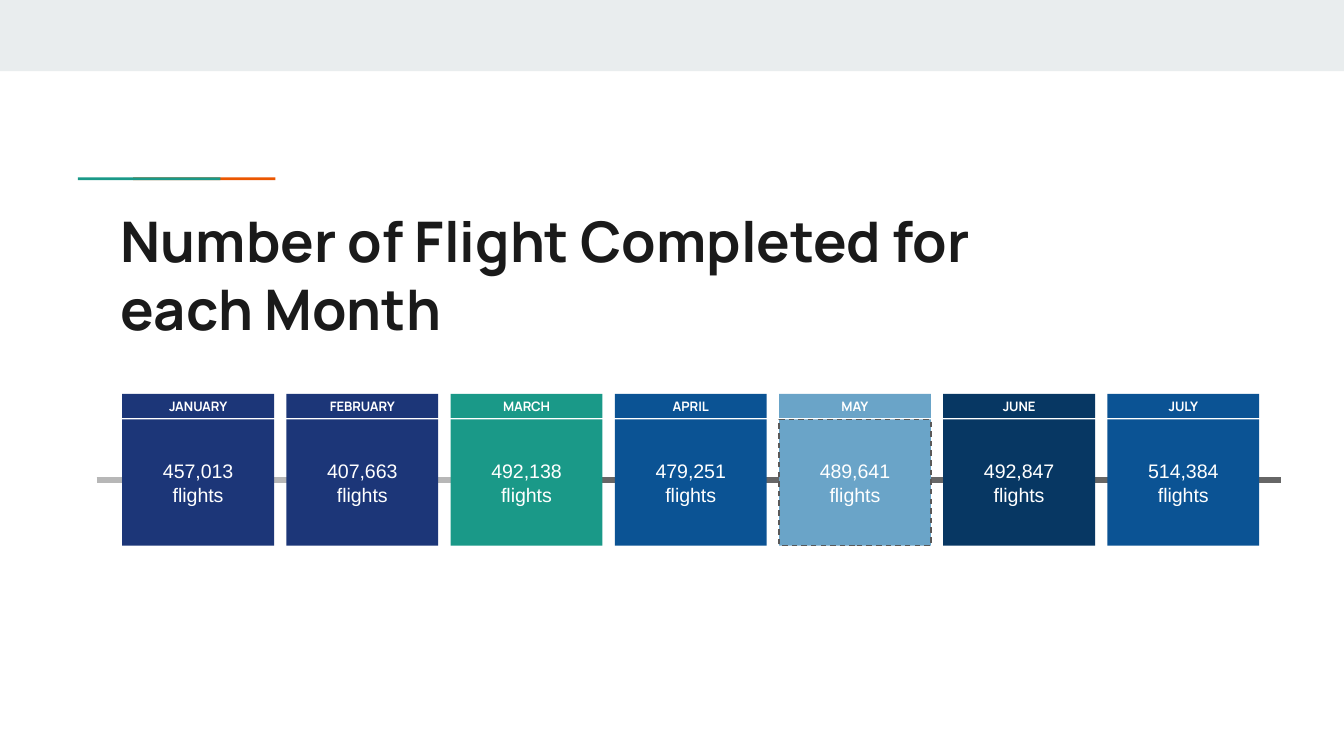
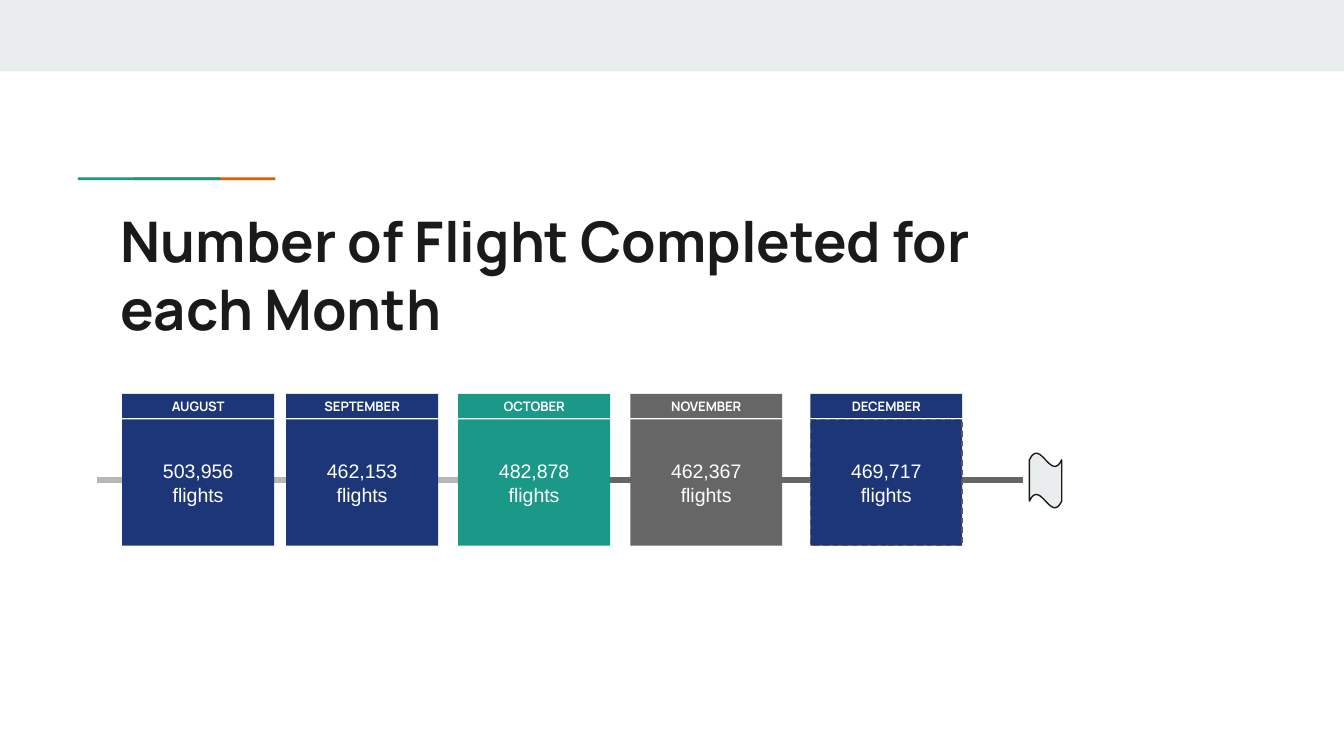
from pptx import Presentation
from pptx.dml.color import RGBColor
from pptx.enum.dml import MSO_LINE
from pptx.enum.shapes import MSO_CONNECTOR, MSO_SHAPE
from pptx.enum.text import MSO_ANCHOR, PP_ALIGN
from pptx.util import Inches, Pt
from lxml.etree import SubElement
from pptx.oxml.ns import qn

WIDE = 10
HIGH = WIDE * 9 / 16
WHITE, PALE, INK = "FFFFFF", "E9EDEE", "1A1A1A"
NAVY, TEAL, BLUE, SKY, DEEP = "1C3678", "1A9988", "0B5394", "6AA4C8", "073763"
GRAY, SILVER, EDGE, ORANGE = "666666", "B7B7B7", "595959", "EB5600"
TITLE = "Number of Flight Completed for each Month"
CARD_W, HEAD_H, BODY_H, BODY_DY = 1.13, 0.18, 0.94, 0.19
FIRST_X, CARD_Y, RAIL_Y = 0.91, 2.93, 3.57

EARLY = [
    ("JANUARY", "457,013", NAVY),
    ("FEBRUARY", "407,663", NAVY),
    ("MARCH", "492,138", TEAL),
    ("APRIL", "479,251", BLUE),
    ("MAY", "489,641", SKY),
    ("JUNE", "492,847", DEEP),
    ("JULY", "514,384", BLUE),
]
LATE = [
    ("AUGUST", "503,956", NAVY),
    ("SEPTEMBER", "462,153", NAVY),
    ("OCTOBER", "482,878", TEAL),
    ("NOVEMBER", "462,367", GRAY),
    ("DECEMBER", "469,717", NAVY),
]


def color(code):
    """Turn a hex string into a colour."""
    return RGBColor.from_string(code)


def block(slide, x, y, w, h, fill, kind=MSO_SHAPE.RECTANGLE):
    """Add a flat filled shape without outline."""
    shape = slide.shapes.add_shape(kind, Inches(x), Inches(y), Inches(w), Inches(h))
    shape.shadow.inherit = False
    shape.fill.solid()
    shape.fill.fore_color.rgb = color(fill)
    shape.line.fill.background()
    return shape


def edge(shape, code, dash=None):
    """Outline a shape with a thin line."""
    shape.line.color.rgb = color(code)
    shape.line.width = Pt(0.75)
    if dash:
        shape.line.dash_style = dash


def write(shape, text, size, face, code, bold=False, align=PP_ALIGN.CENTER,
          anchor=MSO_ANCHOR.MIDDLE):
    """Set one styled paragraph in a shape."""
    frame = shape.text_frame
    frame.word_wrap = True
    frame.vertical_anchor = anchor
    frame.margin_left = frame.margin_right = Inches(0.1)
    frame.margin_top = frame.margin_bottom = Inches(0.1)
    par = frame.paragraphs[0]
    par.text = text
    par.alignment = align
    font = par.font
    font.size, font.name, font.bold = Pt(size), face, bold
    font.color.rgb = color(code)


def rail(slide, start, end, code):
    """Draw a stretch of the timeline."""
    line = slide.shapes.add_connector(
        MSO_CONNECTOR.STRAIGHT, Inches(start), Inches(RAIL_Y), Inches(end), Inches(RAIL_Y))
    line.line.color.rgb = color(code)
    line.line.width = Pt(3)
    SubElement(line._element.spPr, qn("a:effectLst"))


def accent(slide, x, y):
    """Draw the overlapping two-colour rule above the title."""
    block(slide, x + 0.41, y, 1.06, 0.02, ORANGE)
    block(slide, x, y, 1.06, 0.02, TEAL)


def title(slide, x, y, w, h):
    """Add the slide title."""
    box = slide.shapes.add_textbox(Inches(x), Inches(y), Inches(w), Inches(h))
    write(box, TITLE, 30, "Manrope", INK, True, PP_ALIGN.LEFT, MSO_ANCHOR.TOP)


def card(slide, x, y, month, count, fill, dashed):
    """Add a month header with its flight count below."""
    body = block(slide, x, y + BODY_DY, CARD_W, BODY_H, fill)
    if dashed:
        edge(body, EDGE, MSO_LINE.DASH)
    write(body, f"{count} flights", 10.5, "Arial", WHITE)
    head = block(slide, x, y, CARD_W, HEAD_H, fill)
    write(head, month, 7, "Manrope", WHITE, True)


def flag(slide, x, y, w, h):
    """Mark the end of the timeline."""
    edge(block(slide, x, y, w, h, PALE, MSO_SHAPE.WAVE), INK)


def page(deck, months, lefts, dark):
    """Build one timeline slide."""
    slide = deck.slides.add_slide(deck.slide_layouts[6])
    block(slide, 0, 0, WIDE, 0.53, PALE)
    accent(slide, 0.58, 1.32)
    rail(slide, *dark, GRAY)
    rail(slide, 0.72, 4.24, SILVER)
    title(slide, 0.8, 1.44, 7.11, 0.59)
    for x, (month, count, fill) in zip(lefts, months):
        card(slide, x, CARD_Y, month, count, fill, month in ("MAY", "DECEMBER"))
    return slide


def main():
    """Build and save the deck."""
    deck = Presentation()
    deck.slide_width, deck.slide_height = Inches(WIDE), Inches(HIGH)
    step = (8.24 - FIRST_X) / (len(EARLY) - 1)
    page(deck, EARLY, [FIRST_X + i * step for i in range(len(EARLY))], (4.45, 9.53))
    last = page(deck, LATE, [FIRST_X, 2.13, 3.41, 4.69, 6.03], (2.52, 7.61))
    flag(last, 7.66, 3.37, 0.24, 0.41)
    deck.save("out.pptx")


if __name__ == "__main__":
    main()
